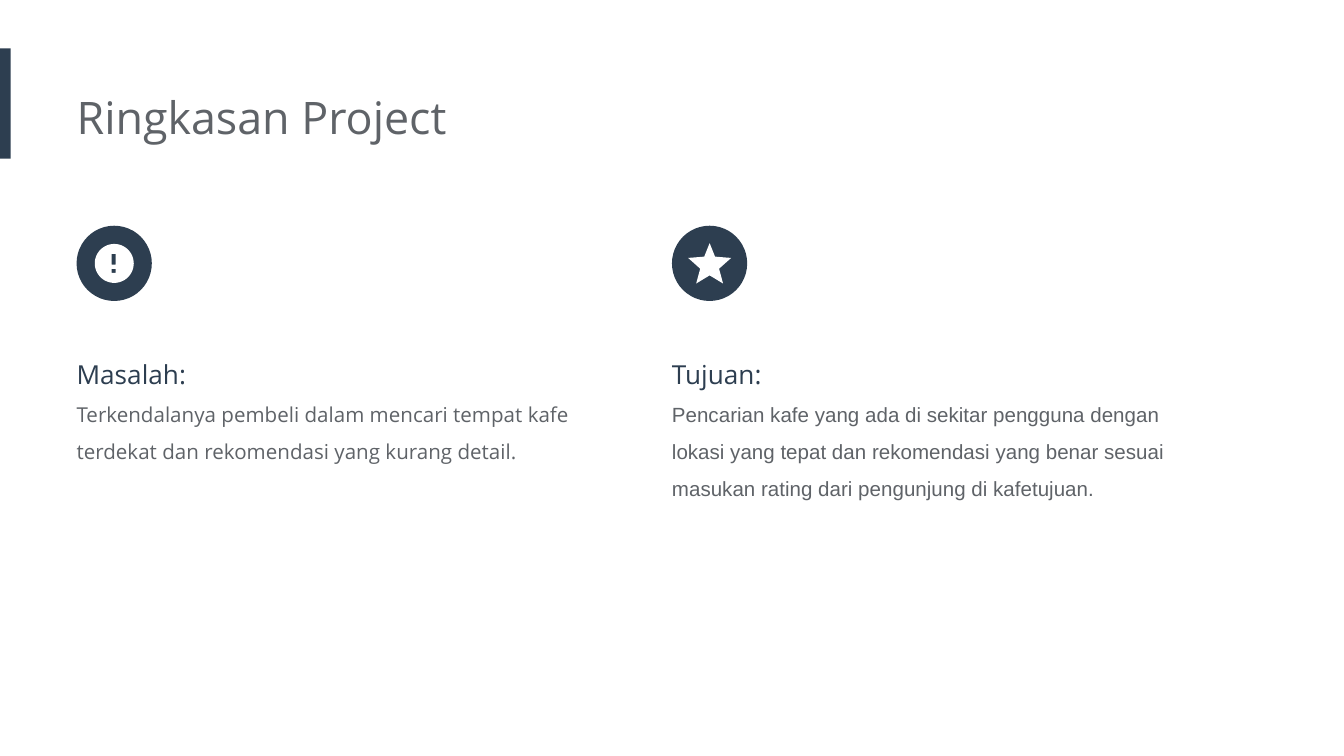
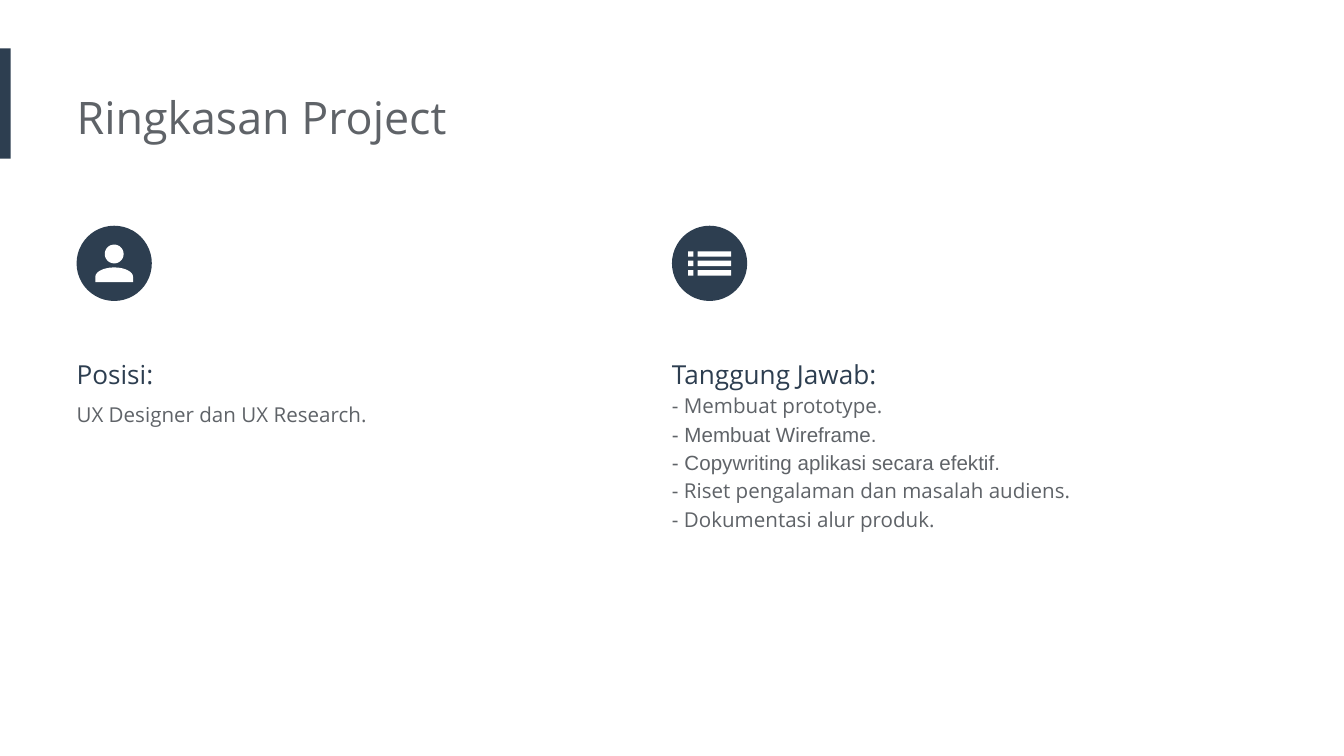
import math
from dataclasses import dataclass

from pptx import Presentation
from pptx import util as u
from pptx.dml.color import RGBColor
from pptx.enum import shapes, text


@dataclass(frozen=True)
class Theme:
    navy: RGBColor = RGBColor.from_string("2D3E50")
    grey: RGBColor = RGBColor.from_string("5F6368")
    white: RGBColor = RGBColor.from_string("FFFFFF")
    font: str = "Open Sans"
    alternate_font: str = "Arial"
    title_size: int = 24
    heading_size: int = 14
    body_size: int = 11
    heading_spacing: float = 1.5


THEME = Theme()
TITLE = "Ringkasan Project"
TITLE_BOX = (0.57, 0.57, 6.73, 0.61)
BAND_BOX = (0, 0.36, 0.08, 0.82)
COLUMN_LEFTS = (0.57, 5)
COLUMN_TOP = 1.68
COLUMN_WIDTH = 3.77
BADGE_SIZE = 0.56
TEXT_OFFSET = 0.77


def arc(center_x, center_y, width, height, start=0, end=360, steps=48):
    """Return points along an elliptical arc, with angles in degrees."""
    angles = [math.radians(start + (end - start) * step / steps) for step in range(steps + 1)]
    return [(center_x + width / 2 * math.cos(angle), center_y + height / 2 * math.sin(angle))
            for angle in angles]


def rectangle(left, top, width, height):
    right, bottom = left + width, top + height
    return [(left, top), (right, top), (right, bottom), (left, bottom)]


# Icon contours, in inches from the top left corner of the badge.
ALERT_ICON = [
    arc(0.28, 0.28, 0.29, 0.29),
    rectangle(0.26, 0.21, 0.03, 0.08),
    rectangle(0.26, 0.32, 0.03, 0.03),
]
STAR_ICON = [[
    (0.28, 0.37), (0.38, 0.43), (0.35, 0.32), (0.44, 0.24), (0.32, 0.23),
    (0.28, 0.13), (0.24, 0.23), (0.12, 0.24), (0.21, 0.32), (0.18, 0.43),
]]
PERSON_ICON = [
    arc(0.28, 0.21, 0.14, 0.14),
    arc(0.28, 0.38, 0.28, 0.14, 180, 360) + [(0.42, 0.42), (0.14, 0.42)],
]
LIST_ICON = [
    rectangle(left, 0.19 + 0.07 * row, width, 0.04)
    for row in range(3)
    for left, width in ((0.12, 0.04), (0.19, 0.25))
]


def paint(shape, color):
    shape.shadow.inherit = False
    shape.fill.solid()
    shape.fill.fore_color.rgb = color
    shape.line.fill.background()


def add_solid(slide, kind, box, color):
    shape = slide.shapes.add_shape(kind, *map(u.Inches, box))
    paint(shape, color)


def add_text(slide, box, lines):
    """Add a text box; each line is (wording, font, size, color, line spacing)."""
    text_frame = slide.shapes.add_textbox(*map(u.Inches, box)).text_frame
    text_frame.word_wrap = True
    text_frame.auto_size = text.MSO_AUTO_SIZE.SHAPE_TO_FIT_TEXT
    text_frame.margin_left = 0
    text_frame.margin_top = text_frame.margin_right = text_frame.margin_bottom = u.Inches(0.1)
    text_frame.text = "\n".join(line[0] for line in lines)
    for paragraph, (_, font, size, color, spacing) in zip(text_frame.paragraphs, lines):
        paragraph.line_spacing = spacing
        for run in paragraph.runs:
            run.font.name = font
            run.font.size = u.Pt(size)
            run.font.color.rgb = color


def add_icon(slide, left, top, contours):
    placed = [[(u.Inches(left + x), u.Inches(top + y)) for x, y in contour]
              for contour in contours]
    builder = slide.shapes.build_freeform(*placed[0][0])
    for index, contour in enumerate(placed):
        if index:
            builder.move_to(*contour[0])
        builder.add_line_segments(contour[1:], close=True)
    paint(builder.convert_to_shape(), THEME.white)


def add_column(slide, left, top, icon, heading, body, spacing, height):
    """Add a badge with its icon, then a heading and (wording, font) body lines."""
    lines = [(heading, THEME.font, THEME.heading_size, THEME.navy, THEME.heading_spacing)]
    lines += [(wording, font, THEME.body_size, THEME.grey, spacing) for wording, font in body]
    add_text(slide, (left, top + TEXT_OFFSET, COLUMN_WIDTH, height), lines)
    add_solid(slide, shapes.MSO_SHAPE.OVAL, (left, top, BADGE_SIZE, BADGE_SIZE), THEME.navy)
    add_icon(slide, left, top, icon)


def add_summary_slide(presentation, columns):
    slide = presentation.slides.add_slide(presentation.slide_layouts[6])
    slide.background.fill.solid()
    slide.background.fill.fore_color.rgb = THEME.white
    add_solid(slide, shapes.MSO_SHAPE.RECTANGLE, BAND_BOX, THEME.navy)
    add_text(slide, TITLE_BOX, [(TITLE, THEME.font, THEME.title_size, THEME.grey, 1.0)])
    for left, column in zip(COLUMN_LEFTS, columns):
        add_column(slide, left, COLUMN_TOP, *column)


def main():
    presentation = Presentation()
    presentation.slide_width = u.Inches(10)
    presentation.slide_height = u.Inches(10 * 9 / 16)

    problem = [("Terkendalanya pembeli dalam mencari tempat kafe terdekat "
                "dan rekomendasi yang kurang detail.", THEME.font)]
    goal = [("Pencarian kafe yang ada di sekitar pengguna dengan lokasi yang tepat "
             "dan rekomendasi yang benar sesuai masukan rating dari pengunjung "
             "di kafetujuan.", THEME.alternate_font)]
    role = [("UX Designer dan UX Research.", THEME.font)]
    duties = [
        ("- Membuat prototype.", THEME.font),
        ("- Membuat Wireframe.", THEME.alternate_font),
        ("- Copywriting aplikasi secara efektif.", THEME.alternate_font),
        ("- Riset pengalaman dan masalah audiens.", THEME.font),
        ("- Dokumentasi alur produk.", THEME.font),
    ]
    add_summary_slide(presentation, [
        (ALERT_ICON, "Masalah:", problem, 1.5, 1.02),
        (STAR_ICON, "Tujuan:", goal, 1.5, 1.3),
    ])
    add_summary_slide(presentation, [
        (PERSON_ICON, "Posisi:", role, 1.5, 0.74),
        (LIST_ICON, "Tanggung Jawab:", duties, 1.15, 1.82),
    ])
    presentation.save("out.pptx")


if __name__ == "__main__":
    main()
